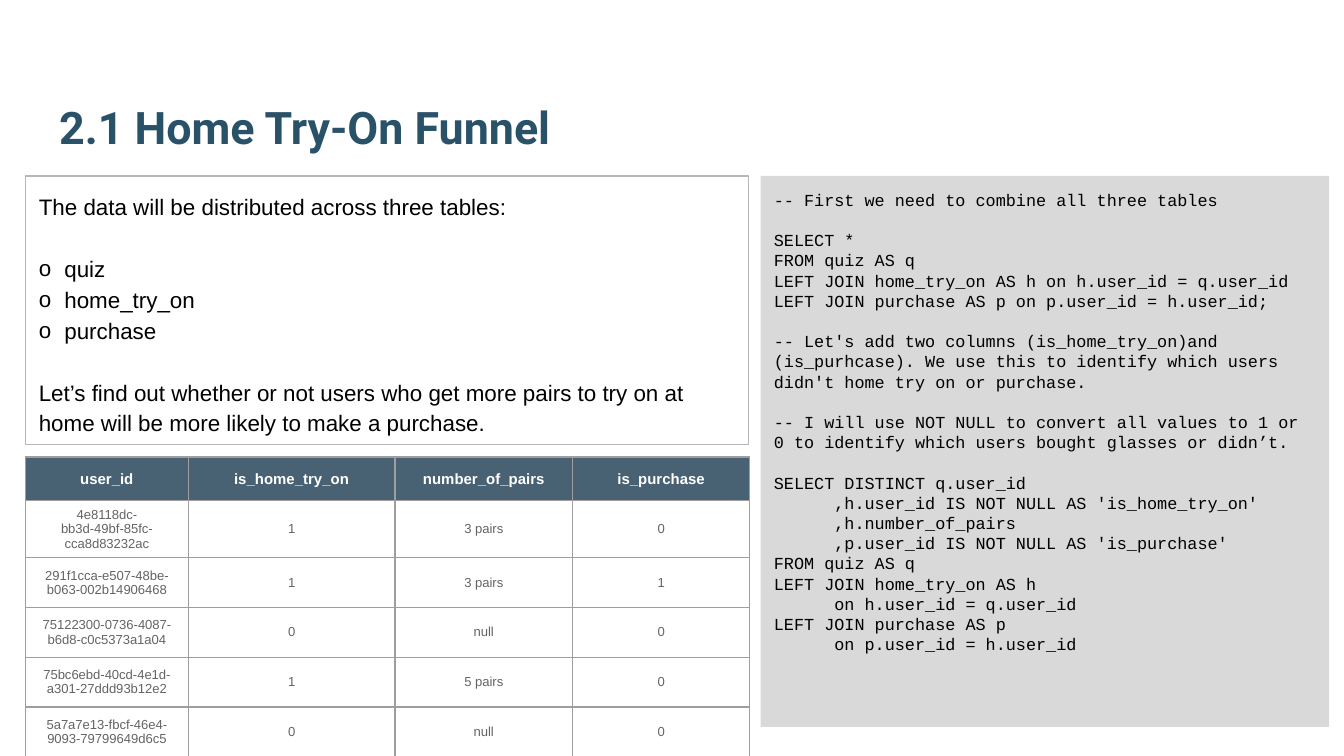
"""Build the Home Try-On Funnel slide with prose, query and result table."""
import lxml.etree
import pptx
import pptx.dml.color
import pptx.enum.shapes
import pptx.enum.text
import pptx.oxml.ns
import pptx.util

TITLE = "2.1 Home Try-On Funnel"
PROSE = [
    ["The data will be distributed across three tables:"],
    ["quiz", "home_try_on", "purchase"],
    ["Let’s find out whether or not users who get more pairs to try on at home "
     "will be more likely to make a purchase."],
]
BULLETED = PROSE[1]
QUERY = [
    ["-- First we need to combine all three tables"],
    ["SELECT *",
     "FROM quiz AS q",
     "LEFT JOIN home_try_on AS h on h.user_id = q.user_id",
     "LEFT JOIN purchase AS p on p.user_id = h.user_id;"],
    ["-- Let's add two columns (is_home_try_on)and (is_purhcase). "
     "We use this to identify which users didn't home try on or purchase."],
    ["-- I will use NOT NULL to convert all values to 1 or 0 "
     "to identify which users bought glasses or didn’t."],
    ["SELECT DISTINCT q.user_id",
     "      ,h.user_id IS NOT NULL AS 'is_home_try_on'",
     "      ,h.number_of_pairs",
     "      ,p.user_id IS NOT NULL AS 'is_purchase'",
     "FROM quiz AS q",
     "LEFT JOIN home_try_on AS h",
     "      on h.user_id = q.user_id",
     "LEFT JOIN purchase AS p",
     "      on p.user_id = h.user_id"],
]
ROWS = [
    ("user_id", "is_home_try_on", "number_of_pairs", "is_purchase"),
    ("4e8118dc-bb3d-49bf-85fc-cca8d83232ac", "1", "3 pairs", "0"),
    ("291f1cca-e507-48be-b063-002b14906468", "1", "3 pairs", "1"),
    ("75122300-0736-4087-b6d8-c0c5373a1a04", "0", "null", "0"),
    ("75bc6ebd-40cd-4e1d-a301-27ddd93b12e2", "1", "5 pairs", "0"),
    ("5a7a7e13-fbcf-46e4-9093-79799649d6c5", "0", "null", "0"),
]
COLORS = {
    "title": "295269", "ink": "000000", "panel": "D9D9D9", "frame": "B7B7B7",
    "header": "204056", "header_text": "FFFFFF", "cell_text": "646466", "grid": "9E9E9E",
}

SLIDE_WIDTH = 10
SLIDE_HEIGHT = SLIDE_WIDTH * 9 / 16
LEFT, TOP, GUTTER = 0.19, 1.31, 0.09
PROSE_WIDTH, PROSE_HEIGHT = 5.38, 2
QUERY_WIDTH, QUERY_HEIGHT = 4.23, 4.1
TITLE_LEFT, TITLE_TOP, TITLE_HEIGHT = 0.34, 0.32, 0.92
COLUMN_WIDTHS = [1.21, 1.54, 1.32, 1.32]
HEADER_HEIGHT, ROW_HEIGHT = 0.24, 0.37
INSET, CELL_INSET, BULLET_INDENT = 0.1, 0.05, 0.19

Inches, Pt = pptx.util.Inches, pptx.util.Pt
ALIGN, ANCHOR = pptx.enum.text.PP_ALIGN, pptx.enum.text.MSO_ANCHOR
RECTANGLE = pptx.enum.shapes.MSO_SHAPE.RECTANGLE


def color(name):
    return pptx.dml.color.RGBColor.from_string(COLORS[name])


def apply(target, values):
    for name, value in values.items():
        setattr(target, name, value)


def add_element(parent, tag, **attributes):
    return lxml.etree.SubElement(parent, pptx.oxml.ns.qn(f"a:{tag}"), attributes)


def style_font(paragraph, name, size, ink, bold=False):
    for font in [paragraph.font] + [span.font for span in paragraph.runs]:
        apply(font, {"name": name, "size": Pt(size), "bold": bold})
        font.color.rgb = color(ink)


def format_frame(frame, anchor):
    apply(frame, {"word_wrap": True, "vertical_anchor": anchor,
                  "auto_size": pptx.enum.text.MSO_AUTO_SIZE.NONE,
                  **{f"margin_{side}": Inches(INSET)
                     for side in ("left", "right", "top", "bottom")}})


def add_bullet(paragraph):
    properties = paragraph._p.get_or_add_pPr()
    properties.set("marL", str(Inches(BULLET_INDENT)))
    properties.set("indent", str(-Inches(BULLET_INDENT)))
    add_element(add_element(properties, "buClr"), "srgbClr", val=COLORS["ink"])
    add_element(properties, "buFont", typeface="Arial")
    add_element(properties, "buChar", char="o")


def add_panel(page, place, blocks, font, size, spacing, gap):
    panel = page.shapes.add_shape(RECTANGLE, *map(Inches, place))
    panel.shadow.inherit = False
    frame = panel.text_frame
    format_frame(frame, ANCHOR.TOP)
    for block_number, block in enumerate(blocks):
        for line_number, line in enumerate(block):
            first = block_number == line_number == 0
            paragraph = frame.paragraphs[0] if first else frame.add_paragraph()
            paragraph.text = line
            starts_block = block_number and not line_number
            apply(paragraph, {"alignment": ALIGN.LEFT, "line_spacing": spacing,
                              "space_before": Pt(gap if starts_block else 0)})
            if block is BULLETED:
                add_bullet(paragraph)
            style_font(paragraph, font, size, "ink")
    return panel


def add_borders(cell):
    properties = cell._tc.get_or_add_tcPr()
    for side in "LRTB":
        border = add_element(properties, f"ln{side}", w=str(Pt(0.75)))
        add_element(add_element(border, "solidFill"), "srgbClr", val=COLORS["grid"])


def fill_cell(cell, text, is_header):
    inset = Inches(INSET if is_header else CELL_INSET)
    cell.text = text
    apply(cell, {"margin_left": Inches(INSET), "margin_right": Inches(INSET),
                 "margin_top": inset, "margin_bottom": inset,
                 "vertical_anchor": ANCHOR.TOP if is_header else ANCHOR.MIDDLE})
    paragraph = cell.text_frame.paragraphs[0]
    paragraph.alignment = ALIGN.CENTER
    add_borders(cell)
    if is_header:
        style_font(paragraph, "Arial", 8, "header_text", True)
        cell.fill.solid()
        cell.fill.fore_color.rgb = color("header")
        shade = cell._tc.tcPr.xpath("./a:solidFill/a:srgbClr")[0]
        add_element(shade, "alpha", val="82000")
    else:
        style_font(paragraph, "Arial", 7, "cell_text")
        cell.fill.background()


def add_results(page):
    top = TOP + PROSE_HEIGHT + GUTTER
    height = HEADER_HEIGHT + ROW_HEIGHT * (len(ROWS) - 1)
    place = map(Inches, (LEFT, top, PROSE_WIDTH, height))
    table = page.shapes.add_table(len(ROWS), len(COLUMN_WIDTHS), *place).table
    table.horz_banding = False
    for column, width in zip(table.columns, COLUMN_WIDTHS):
        column.width = Inches(width)
    for number, values in enumerate(ROWS):
        table.rows[number].height = Inches(ROW_HEIGHT if number else HEADER_HEIGHT)
        for column, text in enumerate(values):
            fill_cell(table.cell(number, column), text, number == 0)


def main():
    deck = pptx.Presentation()
    apply(deck, {"slide_width": Inches(SLIDE_WIDTH), "slide_height": Inches(SLIDE_HEIGHT)})
    page = deck.slides.add_slide(deck.slide_layouts[5])

    title = page.shapes.title
    apply(title, {"left": Inches(TITLE_LEFT), "top": Inches(TITLE_TOP),
                  "width": Inches(SLIDE_WIDTH - 2 * TITLE_LEFT),
                  "height": Inches(TITLE_HEIGHT)})
    title.text_frame.text = TITLE
    format_frame(title.text_frame, ANCHOR.BOTTOM)
    title.text_frame.paragraphs[0].alignment = ALIGN.LEFT
    style_font(title.text_frame.paragraphs[0], "Roboto", 24, "title", True)

    query_left = LEFT + PROSE_WIDTH + GUTTER
    query = add_panel(page, (query_left, TOP, QUERY_WIDTH, QUERY_HEIGHT),
                      QUERY, "Courier New", 9, 1.0, 10.8)
    query.fill.solid()
    query.fill.fore_color.rgb = color("panel")
    query.line.fill.background()

    prose = add_panel(page, (LEFT, TOP, PROSE_WIDTH, PROSE_HEIGHT),
                      PROSE, "Arial", 12, 1.15, 16.5)
    prose.fill.background()
    prose.line.color.rgb = color("frame")
    prose.line.width = Pt(0.75)

    add_results(page)
    deck.save("out.pptx")


if __name__ == "__main__":
    main()
